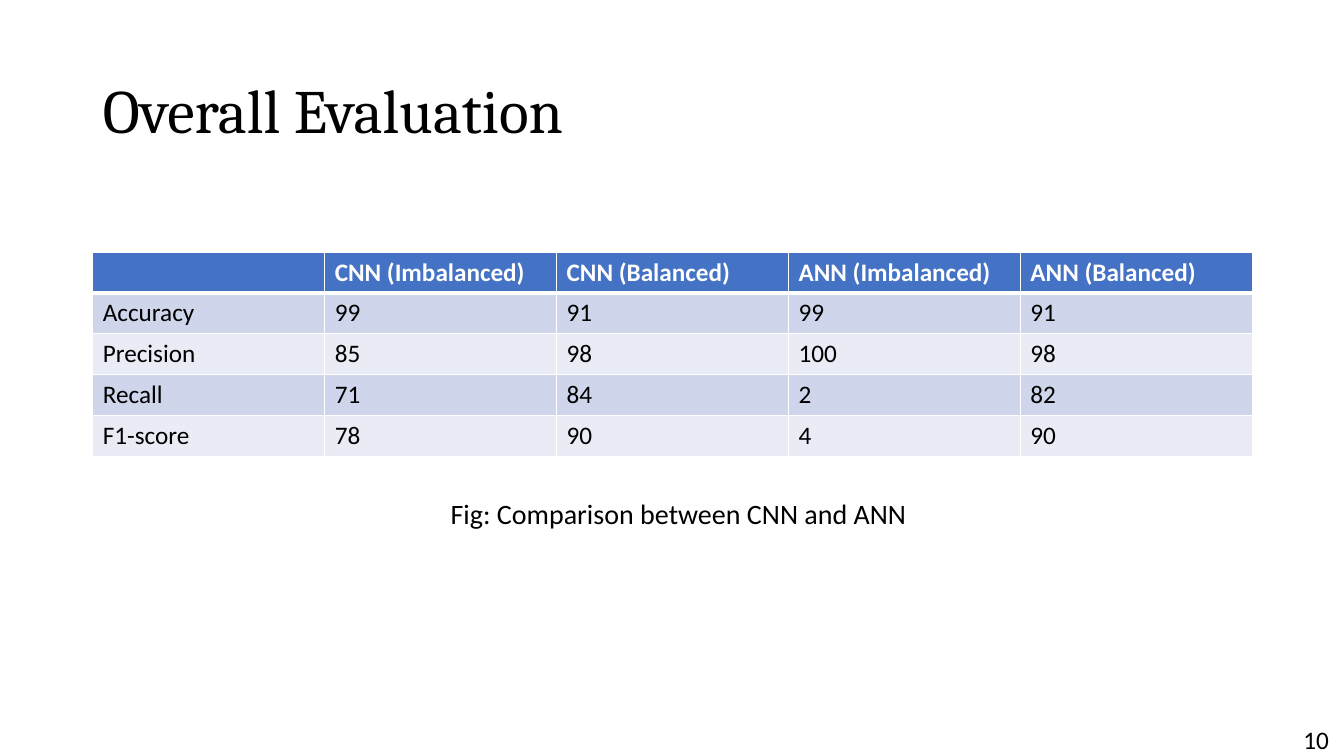
"""Build the overall evaluation slide comparing CNN and ANN scores."""
from dataclasses import dataclass

import pptx
import pptx.dml.color
import pptx.enum.text
import pptx.oxml
import pptx.oxml.ns
import pptx.util

Inches = pptx.util.Inches
RGBColor = pptx.dml.color.RGBColor
ALIGN = pptx.enum.text.PP_ALIGN

BLACK = RGBColor(0x00, 0x00, 0x00)
WHITE = RGBColor(0xFF, 0xFF, 0xFF)
HEADER_BLUE = RGBColor(0x44, 0x72, 0xC4)
BAND_DARK = RGBColor(0xCF, 0xD5, 0xEA)
BAND_LIGHT = RGBColor(0xE9, 0xEB, 0xF5)

SCORES = [
    ["", "CNN (Imbalanced)", "CNN (Balanced)", "ANN (Imbalanced)", "ANN (Balanced)"],
    ["Accuracy", "99", "91", "99", "91"],
    ["Precision", "85", "98", "100", "98"],
    ["Recall", "71", "84", "2", "82"],
    ["F1-score", "78", "90", "4", "90"],
]


@dataclass
class Label:
    text: str
    left: float
    top: float
    width: float
    height: float
    size: int
    align: ALIGN


LABELS = [
    Label("10", 12.83, 7.14, 0.46, 0.4, 18, ALIGN.LEFT),
    Label("Fig: Comparison between CNN and ANN", 4.32, 4.88, 4.82, 0.44, 20, ALIGN.CENTER),
]


def style_text(tf, font: str, size: int, color: RGBColor, bold: bool = False) -> None:
    for p in tf.paragraphs:
        for r in p.runs:
            r.font.name = font
            r.font.size = pptx.util.Pt(size)
            r.font.bold = bold
            r.font.color.rgb = color


def add_border(cell, side: str, points: int) -> None:
    cell._tc.get_or_add_tcPr().append(pptx.oxml.parse_xml(
        f'<a:ln{side} {pptx.oxml.ns.nsdecls("a")} w="{pptx.util.Pt(points)}">'
        f'<a:solidFill><a:srgbClr val="{WHITE}"/></a:solidFill></a:ln{side}>'))


def add_title(s, text: str) -> None:
    sp = s.shapes.title
    sp.left, sp.top, sp.width, sp.height = (Inches(v) for v in (0.92, 0.4, 11.5, 1.45))
    tf = sp.text_frame
    tf.text = text
    tf.vertical_anchor = pptx.enum.text.MSO_ANCHOR.MIDDLE
    tf.paragraphs[0].alignment = ALIGN.LEFT
    tf.paragraphs[0].line_spacing = 0.9
    style_text(tf, "Cambria", 44, BLACK)


def add_label(s, label: Label) -> None:
    box = (Inches(v) for v in (label.left, label.top, label.width, label.height))
    tf = s.shapes.add_textbox(*box).text_frame
    tf.word_wrap = False
    tf.auto_size = pptx.enum.text.MSO_AUTO_SIZE.SHAPE_TO_FIT_TEXT
    tf.text = label.text
    tf.paragraphs[0].alignment = label.align
    style_text(tf, "Calibri", label.size, BLACK)


def add_score_table(s, rows: list[list[str]]) -> None:
    box = (Inches(v) for v in (0.92, 2.5, 11.5, 2.03))
    table = s.shapes.add_table(len(rows), len(rows[0]), *box).table
    for i, row in enumerate(rows):
        header = i == 0
        band = BAND_DARK if i % 2 else BAND_LIGHT
        borders = {"L": 1, "R": 1, "T": 3 if i == 1 else 1, "B": 3 if header else 1}
        for j, text in enumerate(row):
            cell = table.cell(i, j)
            cell.text_frame.text = text
            style_text(cell.text_frame, "Calibri", 18, WHITE if header else BLACK, header)
            for side, points in borders.items():
                add_border(cell, side, points)
            cell.fill.solid()
            cell.fill.fore_color.rgb = HEADER_BLUE if header else band


def main() -> None:
    prs = pptx.Presentation()
    prs.slide_width, prs.slide_height = Inches(13.33), Inches(7.5)
    s = prs.slides.add_slide(prs.slide_layouts[5])
    add_title(s, "Overall Evaluation")
    add_score_table(s, SCORES)
    for label in LABELS:
        add_label(s, label)
    prs.save("out.pptx")


if __name__ == "__main__":
    main()
